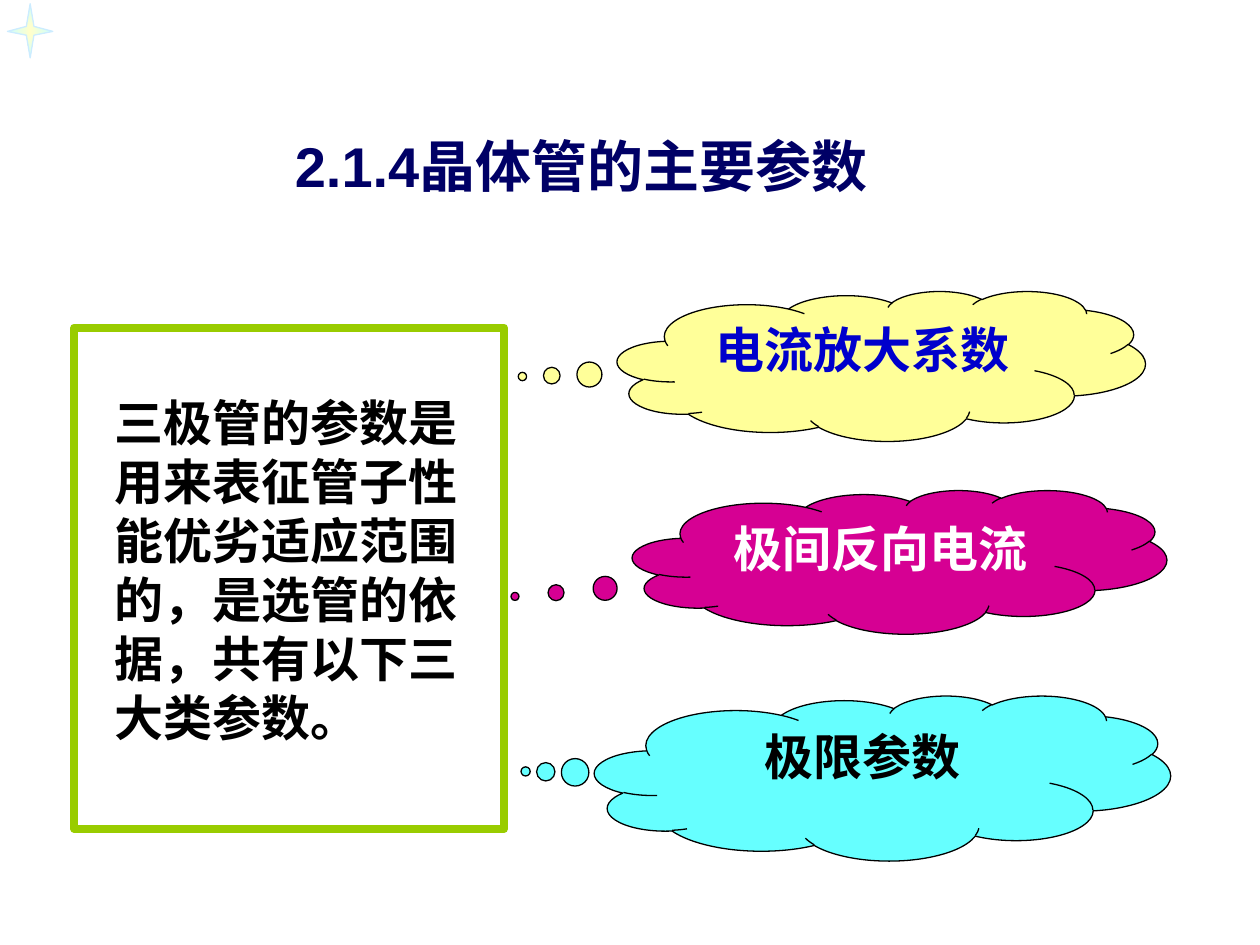
"""Build a slide on the main parameters of a transistor."""
from dataclasses import dataclass

from lxml import etree
from pptx import Presentation
from pptx.dml.color import RGBColor
from pptx.enum.shapes import MSO_SHAPE
from pptx.enum.text import MSO_ANCHOR, MSO_AUTO_SIZE, PP_ALIGN
from pptx.oxml.ns import qn
from pptx.util import Inches, Pt

RECTANGLE = MSO_SHAPE.RECTANGLE
CLOUD = MSO_SHAPE.CLOUD_CALLOUT
LEFT, CENTER = PP_ALIGN.LEFT, PP_ALIGN.CENTER
TOP = MSO_ANCHOR.TOP
GROW, FIXED = MSO_AUTO_SIZE.SHAPE_TO_FIT_TEXT, MSO_AUTO_SIZE.NONE

LATIN_FONT = "Arial"
CHINESE_FONT = "Noto Sans CJK SC"
COLORS = {
    "white": "FFFFFF", "black": "000000", "navy": "000066", "blue": "0000CC",
    "green": "99CC00", "yellow": "FFFF99", "magenta": "D60093", "cyan": "66FFFF",
    "star_center": "FFFFCC", "star_edge": "CCFFFF", "star_line": "CCECFF",
}
STAR_POINTS = [(0.06, 0.25), (0.21, 0.21), (0.24, 0.03), (0.27, 0.21),
               (0.42, 0.25), (0.27, 0.28), (0.24, 0.46), (0.21, 0.28)]


@dataclass
class Area:
    left: float
    top: float
    width: float
    height: float

    def lengths(self) -> list:
        return [Inches(value) for value in (self.left, self.top, self.width, self.height)]


@dataclass
class Cloud:
    text: str
    area: Area
    tail: tuple
    fill: str
    color: str


CLOUDS = [
    Cloud("电流放大系数", Area(4.9, 2.31, 4.19, 1.19), (-0.68, 0.07), "yellow", "blue"),
    Cloud("极间反向电流", Area(5.02, 3.89, 4.24, 1.14), (-0.72, 0.24), "magenta", "white"),
    Cloud("极限参数", Area(4.72, 5.52, 4.57, 1.31), (-0.62, -0.04), "cyan", "black"),
]


def rgb(name: str) -> RGBColor:
    return RGBColor.from_string(COLORS[name])


def write(box, text: str, size: float, color: str, font: str = LATIN_FONT,
          align=LEFT, fit=GROW) -> None:
    frame = box.text_frame
    settings = {"word_wrap": True, "auto_size": fit, "vertical_anchor": TOP}
    for name, value in settings.items():
        setattr(frame, name, value)
    para = frame.paragraphs[0]
    para.alignment = align
    span = para.add_run()
    span.text = text
    for name, value in {"name": font, "size": Pt(size), "bold": True}.items():
        setattr(span.font, name, value)
    span.font.color.rgb = rgb(color)
    east_asian = etree.Element(qn("a:ea"), typeface=CHINESE_FONT)
    span.font._element.find(qn("a:latin")).addnext(east_asian)


def add_filled(page, kind, area: Area, fill: str, line: str, width: float):
    shape = page.shapes.add_shape(kind, *area.lengths())
    shape.shadow.inherit = False
    shape.fill.solid()
    shape.fill.fore_color.rgb = rgb(fill)
    shape.line.color.rgb = rgb(line)
    shape.line.width = Pt(width)
    return shape


def add_cloud(page, cloud: Cloud) -> None:
    shape = add_filled(page, CLOUD, cloud.area, cloud.fill, "black", 0.75)
    for index, value in enumerate(cloud.tail):
        shape.adjustments[index] = value
    write(shape, cloud.text, 28, cloud.color, CHINESE_FONT, CENTER, FIXED)


def add_star(page) -> None:
    points = [(Inches(x), Inches(y)) for x, y in STAR_POINTS]
    builder = page.shapes.build_freeform(*points[0])
    builder.add_line_segments(points[1:], close=True)
    star = builder.convert_to_shape()
    star.shadow.inherit = False
    star.line.color.rgb = rgb("star_line")
    star.line.width = Pt(0)
    star.fill.gradient()
    for stop, name in zip(star.fill.gradient_stops, ("star_center", "star_edge")):
        stop.color.rgb = rgb(name)
    gradient = star._element.spPr.find(qn("a:gradFill"))
    linear = gradient.find(qn("a:lin"))
    radial = etree.Element(qn("a:path"), {"path": "rect"})
    etree.SubElement(radial, qn("a:fillToRect"), dict.fromkeys("ltrb", "50000"))
    gradient.replace(linear, radial)


def main() -> None:
    deck = Presentation()
    deck.slide_width, deck.slide_height = Inches(10), Inches(7.5)
    page = deck.slides.add_slide(deck.slide_layouts[5])
    add_star(page)

    title = page.shapes.title
    title_area = Area(2.24, 0.99, 4.96, 0.64)
    for name, value in zip(("left", "top", "width", "height"), title_area.lengths()):
        setattr(title, name, value)
    write(title, "2.1.4晶体管的主要参数", 32, "navy")

    add_filled(page, RECTANGLE, Area(0.59, 2.6, 3.41, 3.98), "white", "green", 4.5)
    summary = page.shapes.add_textbox(*Area(0.81, 3.07, 2.98, 2.9).lengths())
    write(summary, "三极管的参数是用来表征管子性能优劣适应范围的，是选管的依据，共有以下三大类参数。",
          28, "black")
    for cloud in CLOUDS:
        add_cloud(page, cloud)
    deck.save("out.pptx")


if __name__ == "__main__":
    main()
